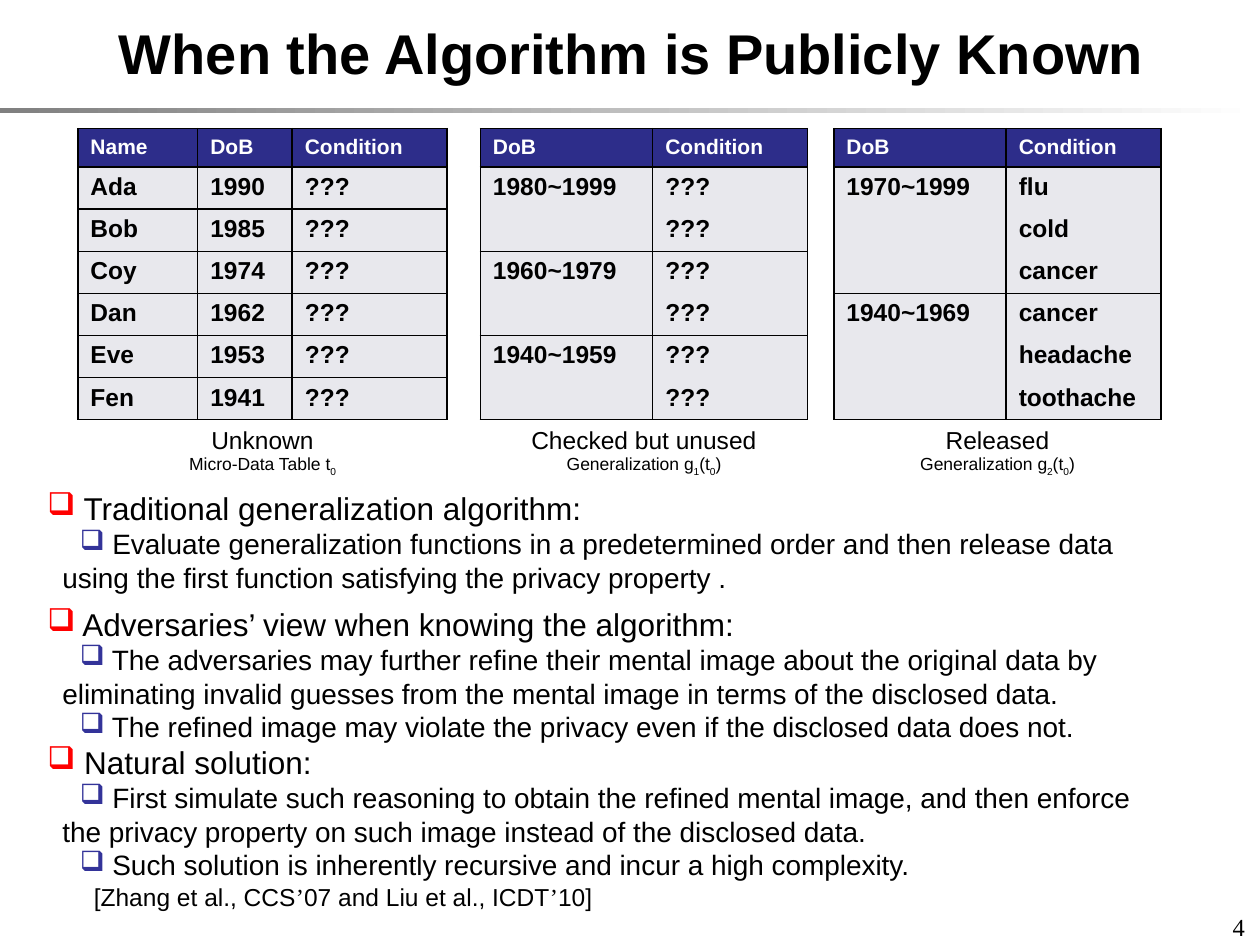
from lxml.etree import SubElement
from pptx import Presentation
from pptx.dml.color import RGBColor
from pptx.enum.shapes import MSO_SHAPE
from pptx.enum.text import MSO_ANCHOR, PP_ALIGN
from pptx.oxml import parse_xml
from pptx.oxml.ns import nsdecls, qn
from pptx.util import Pt

TITLE = "When the Algorithm is Publicly Known"
PAGE_NUMBER = "4"
TABLES = [
    {
        "left": 44.5,
        "columns": [68.5, 54, 88.5],
        "rows": [
            ("Name", "DoB", "Condition"),
            ("Ada", "1990", "???"),
            ("Bob", "1985", "???"),
            ("Coy", "1974", "???"),
            ("Dan", "1962", "???"),
            ("Eve", "1953", "???"),
            ("Fen", "1941", "???"),
        ],
        "caption": ("Unknown", [("Micro-Data Table t", 0), ("0", 1)]),
    },
    {
        "left": 476.5,
        "columns": [98.5, 88.5],
        "rows": [
            ("DoB", "Condition"),
            ("1970~1999", "flu"),
            ("", "cold"),
            ("", "cancer"),
            ("1940~1969", "cancer"),
            ("", "headache"),
            ("", "toothache"),
        ],
        "caption": ("Released", [("Generalization g", 0), ("2", 1), ("(t", 0), ("0", 1), (")", 0)]),
    },
    {
        "left": 274.5,
        "columns": [98.5, 88.5],
        "rows": [
            ("DoB", "Condition"),
            ("1980~1999", "???"),
            ("", "???"),
            ("1960~1979", "???"),
            ("", "???"),
            ("1940~1959", "???"),
            ("", "???"),
        ],
        "caption": ("Checked but unused", [("Generalization g", 0), ("1", 1), ("(t", 0), ("0", 1), (")", 0)]),
    },
]
SECTIONS = [
    (276, 70.5, "Traditional generalization algorithm:", [
        "Evaluate generalization functions in a predetermined order and then release data "
        "using the first function satisfying the privacy property .",
    ]),
    (342, 90, "Adversaries’ view when knowing the algorithm:", [
        "The adversaries may further refine their mental image about the original data by "
        "eliminating invalid guesses from the mental image in terms of the disclosed data.",
        "The refined image may violate the privacy even if the disclosed data does not.",
    ]),
    (421, 109, "Natural solution:", [
        "First simulate such reasoning to obtain the refined mental image, and then enforce "
        "the privacy property on such image instead of the disclosed data.",
        "Such solution is inherently recursive and incur a high complexity.",
    ]),
]
CITATION = ["[Zhang et al., CCS", "’", "07 and Liu et al., ICDT", "’", "10]"]

BLACK, WHITE, NAVY, PALE = "000000", "FFFFFF", "2D2D8A", "E8E8ED"
RED, INDIGO = "FF0000", "333399"
TABLE_TOP, HEADER_HEIGHT, ROW_HEIGHT, CAPTION_HEIGHT = 73.5, 22, 24, 36
PLAIN_TABLE_STYLE = "{2D5ABB26-0587-4C30-8999-92F81FD0307C}"

BASE_FONT = {"name": "Arial", "bold": False}
TITLE_FONT = {"size": Pt(32), "bold": True}
HEADER_FONT = {"size": Pt(12), "bold": True}
CELL_FONT = {"size": Pt(14), "bold": True}
CAPTION_FONT = {"size": Pt(14)}
SUBCAPTION_FONT = {"size": Pt(10)}
HEADING_FONT = {"size": Pt(18)}
POINT_FONT = {"size": Pt(16)}
CITATION_FONT = {"size": Pt(14)}
SERIF_FONT = {"size": Pt(14), "name": "Times New Roman"}


def rgb(value):
    return RGBColor.from_string(value)


def add_run(paragraph, text, formats, color=BLACK, subscript=False):
    run = paragraph.add_run()
    run.text = text
    for attribute, value in (BASE_FONT | formats).items():
        setattr(run.font, attribute, value)
    run.font.color.rgb = rgb(color)
    if subscript:
        run._r.get_or_add_rPr().set("baseline", "-25000")


def add_text_frame(slide, left, top, width, height, anchor=MSO_ANCHOR.TOP):
    frame = slide.shapes.add_textbox(Pt(left), Pt(top), Pt(width), Pt(height)).text_frame
    frame.word_wrap = True
    frame.vertical_anchor = anchor
    return frame


def set_layout(paragraph, margin=0, indent=0, bullet_color=None):
    properties = paragraph._p.get_or_add_pPr()
    properties.set("marL", str(Pt(margin)))
    properties.set("indent", str(Pt(indent)))
    if bullet_color:
        color = SubElement(properties, qn("a:buClr"))
        SubElement(color, qn("a:srgbClr")).set("val", bullet_color)
        SubElement(properties, qn("a:buChar")).set("char", "❑")


def set_borders(cell, sides):
    properties = cell._tc.get_or_add_tcPr()
    for position, side in enumerate("LRTB"):
        paint = f'<a:solidFill><a:srgbClr val="{BLACK}"/></a:solidFill>' if side in sides else "<a:noFill/>"
        border = parse_xml(f'<a:ln{side} {nsdecls("a")} w="{Pt(1)}">{paint}</a:ln{side}>')
        properties.insert(position, border)


def add_data_table(slide, left, columns, rows, caption):
    heights = [HEADER_HEIGHT] + [ROW_HEIGHT] * (len(rows) - 1) + [CAPTION_HEIGHT]
    table = slide.shapes.add_table(
        len(heights), len(columns), Pt(left), Pt(TABLE_TOP), Pt(sum(columns)), Pt(sum(heights))
    ).table
    table.first_row = table.horz_banding = False
    table._tbl.tblPr.find(qn("a:tableStyleId")).text = PLAIN_TABLE_STYLE
    for column, width in zip(table.columns, columns):
        column.width = Pt(width)
    for row, height in zip(table.rows, heights):
        row.height = Pt(height)

    for r, row in enumerate(rows):
        ends_group = r + 1 == len(rows) or rows[r + 1][0]
        sides = "LR" + ("T" if row[0] else "") + ("B" if ends_group else "")
        formats, color, fill = (CELL_FONT, BLACK, PALE) if r else (HEADER_FONT, WHITE, NAVY)
        for c, text in enumerate(row):
            cell = table.cell(r, c)
            cell.fill.solid()
            cell.fill.fore_color.rgb = rgb(fill)
            set_borders(cell, sides)
            paragraph = cell.text_frame.paragraphs[0]
            if text:
                add_run(paragraph, text, formats, color)
            else:
                SubElement(paragraph._p, qn("a:endParaRPr")).set("sz", "1400")

    last = len(rows)
    caption_cell = table.cell(last, 0)
    caption_cell.merge(table.cell(last, len(columns) - 1))
    for c in range(len(columns)):
        table.cell(last, c).fill.background()
        set_borders(table.cell(last, c), "T")
    caption_cell.vertical_anchor = MSO_ANCHOR.MIDDLE
    heading, subcaption = caption
    first = caption_cell.text_frame.paragraphs[0]
    second = caption_cell.text_frame.add_paragraph()
    first.alignment = second.alignment = PP_ALIGN.CENTER
    add_run(first, heading, CAPTION_FONT)
    for text, subscript in subcaption:
        add_run(second, text, SUBCAPTION_FONT, subscript=subscript)


def add_section(slide, top, height, heading, points):
    frame = add_text_frame(slide, 20, top, 657.5, height)
    paragraph = frame.paragraphs[0]
    set_layout(paragraph, bullet_color=RED)
    add_run(paragraph, " " + heading, HEADING_FONT)
    for point in points:
        paragraph = frame.add_paragraph()
        paragraph.level = 1
        set_layout(paragraph, 8.5, 10, INDIGO)
        add_run(paragraph, " " + point, POINT_FONT)
    return frame


presentation = Presentation()
presentation.slide_width, presentation.slide_height = Pt(720), Pt(540)
slide = presentation.slides.add_slide(presentation.slide_layouts[6])

rule = slide.shapes.add_shape(MSO_SHAPE.RECTANGLE, 0, Pt(62), Pt(720), Pt(2.5))
rule.shadow.inherit = False
rule.line.fill.background()
rule.fill.gradient()
rule.fill.gradient_angle = 0
for stop, color, position in zip(rule.fill.gradient_stops, ("808080", WHITE), (0, 1)):
    stop.color.rgb = rgb(color)
    stop.position = position

number = add_text_frame(slide, 551, 517, 167.5, 25, MSO_ANCHOR.MIDDLE).paragraphs[0]
number.alignment = PP_ALIGN.RIGHT
add_run(number, PAGE_NUMBER, SERIF_FONT)

title = add_text_frame(slide, 2, 0, 718, 60, MSO_ANCHOR.MIDDLE).paragraphs[0]
title.alignment = PP_ALIGN.CENTER
add_run(title, TITLE, TITLE_FONT)

for section in SECTIONS:
    section_frame = add_section(slide, *section)
citation = section_frame.add_paragraph()
citation.level = 1
set_layout(citation, 8.5, 18)
for text in CITATION:
    add_run(citation, text, SERIF_FONT if text == "’" else CITATION_FONT)

for data_table in TABLES:
    add_data_table(slide, **data_table)

presentation.save("out.pptx")
